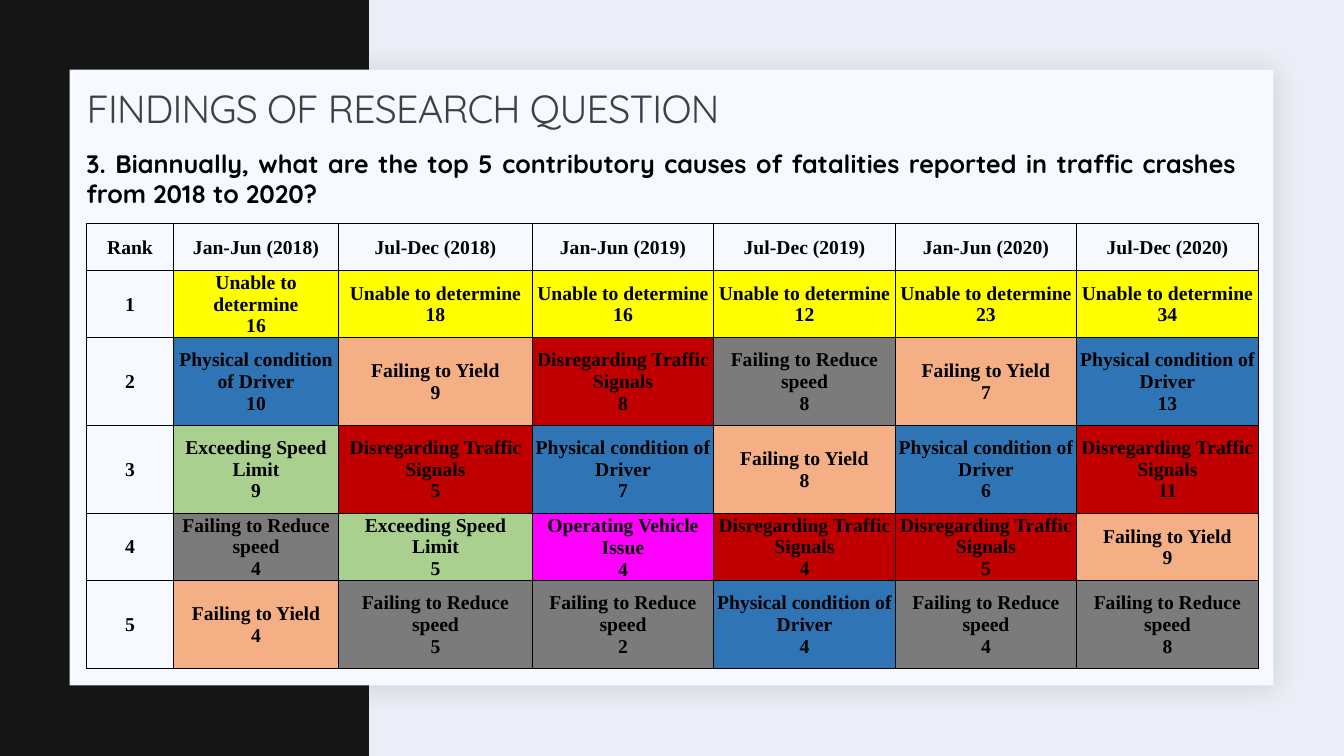
from lxml.etree import SubElement
from pptx import Presentation
from pptx.dml.color import RGBColor
from pptx.enum.shapes import MSO_SHAPE
from pptx.enum.text import MSO_ANCHOR, MSO_AUTO_SIZE, PP_ALIGN
from pptx.oxml import parse_xml
from pptx.oxml.ns import nsdecls, qn
from pptx.util import Inches, Pt

CAUSE_COLOURS = {
    "Unable to determine": "FFFF00",
    "Physical condition of Driver": "2F75B5",
    "Failing to Yield": "F4B084",
    "Disregarding Traffic Signals": "C00000",
    "Failing to Reduce speed": "7B7B7B",
    "Exceeding Speed Limit": "A9D08E",
    "Operating Vehicle Issue": "FF00FF",
}
UNKNOWN, CONDITION, YIELD, SIGNALS, SPEED, LIMIT, VEHICLE = CAUSE_COLOURS
PERIODS = {
    "Jan-Jun (2018)": [(UNKNOWN, 16), (CONDITION, 10), (LIMIT, 9), (SPEED, 4), (YIELD, 4)],
    "Jul-Dec (2018)": [(UNKNOWN, 18), (YIELD, 9), (SIGNALS, 5), (LIMIT, 5), (SPEED, 5)],
    "Jan-Jun (2019)": [(UNKNOWN, 16), (SIGNALS, 8), (CONDITION, 7), (VEHICLE, 4), (SPEED, 2)],
    "Jul-Dec (2019)": [(UNKNOWN, 12), (SPEED, 8), (YIELD, 8), (SIGNALS, 4), (CONDITION, 4)],
    "Jan-Jun (2020)": [(UNKNOWN, 23), (YIELD, 7), (CONDITION, 6), (SIGNALS, 5), (SPEED, 4)],
    "Jul-Dec (2020)": [(UNKNOWN, 34), (CONDITION, 13), (SIGNALS, 11), (YIELD, 9), (SPEED, 8)],
}
COLUMN_WIDTHS = [0.86, 1.64, 1.92, 1.8, 1.8, 1.8, 1.8]
ROW_HEIGHTS = [0.46, 0.67, 0.87, 0.87, 0.67, 0.87]


def colour(value):
    """Turn a hex string into a colour."""
    return RGBColor.from_string(value)


class SlideBuilder:
    """Hold the style and the current slide."""

    heading_font = "Quicksand"
    table_font = "Times New Roman"
    ink = "000000"

    def __init__(self, presentation, background):
        """Add a title-only slide with a plain background."""
        self.slide = presentation.slides.add_slide(presentation.slide_layouts[5])
        self.slide.background.fill.solid()
        self.slide.background.fill.fore_color.rgb = colour(background)

    def run(self, paragraph, text, font, size, ink, bold=False):
        """Add one formatted run."""
        run = paragraph.add_run()
        run.text = text
        run.font.name = font
        run.font.size = Pt(size)
        run.font.bold = bold
        run.font.color.rgb = colour(ink)
        return run

    def panel(self, left, top, width, height, fill):
        """Add a rectangle without outline or shadow."""
        shape = self.slide.shapes.add_shape(
            MSO_SHAPE.RECTANGLE, Inches(left), Inches(top), Inches(width), Inches(height))
        shape.fill.solid()
        shape.fill.fore_color.rgb = colour(fill)
        shape.line.fill.background()
        shape.shadow.inherit = False
        return shape

    def soft_shadow(self, shape, shade, opacity, blur, distance, angle):
        """Give a shape a blurred outer shadow."""
        effects = shape.element.spPr.find(qn("a:effectLst"))
        effects.append(parse_xml(
            f'<a:outerShdw {nsdecls("a")} blurRad="{Pt(blur)}" dist="{Pt(distance)}" '
            f'dir="{angle * 60000}" algn="tl" rotWithShape="0"><a:srgbClr val="{shade}">'
            f'<a:alpha val="{opacity * 1000}"/></a:srgbClr></a:outerShdw>'))

    def title(self, text, left, top, width, height):
        """Place the title in front of the panels and format it."""
        title = self.slide.shapes.title
        self.slide.shapes.element.append(title.element)
        title.left, title.top = Inches(left), Inches(top)
        title.width, title.height = Inches(width), Inches(height)
        frame = title.text_frame
        frame.auto_size = MSO_AUTO_SIZE.NONE
        frame.vertical_anchor = MSO_ANCHOR.MIDDLE
        paragraph = frame.paragraphs[0]
        paragraph.alignment = PP_ALIGN.LEFT
        paragraph.line_spacing = 0.9
        run = self.run(paragraph, text, self.heading_font, 28, "404040")
        run.font._element.set("spc", "-50")

    def question(self, text, left, top, width, height):
        """Add the justified research question."""
        box = self.slide.shapes.add_textbox(
            Inches(left), Inches(top), Inches(width), Inches(height))
        frame = box.text_frame
        frame.word_wrap = True
        paragraph = frame.paragraphs[0]
        paragraph.alignment = PP_ALIGN.JUSTIFY
        self.run(paragraph, text, self.heading_font, 18, self.ink, True)

    def borders(self, cell, widths):
        """Draw the left, right, top and bottom borders of a cell."""
        properties = cell._tc.get_or_add_tcPr()
        for index, (side, width) in enumerate(zip("LRTB", widths)):
            line = parse_xml(f'<a:ln{side} {nsdecls("a")} w="{Pt(width)}"/>')
            fill = SubElement(line, qn("a:solidFill"))
            SubElement(fill, qn("a:srgbClr"), val=self.ink)
            properties.insert(index, line)

    def cell(self, cell, lines, fill=None):
        """Fill and write one centred table cell."""
        cell.margin_left = cell.margin_top = cell.margin_right = Inches(0.01)
        cell.margin_bottom = 0
        cell.vertical_anchor = MSO_ANCHOR.BOTTOM if lines[0] == VEHICLE else MSO_ANCHOR.MIDDLE
        if fill:
            cell.fill.solid()
            cell.fill.fore_color.rgb = colour(fill)
        else:
            cell.fill.background()
        paragraph = cell.text_frame.paragraphs[0]
        paragraph.alignment = PP_ALIGN.CENTER
        for index, text in enumerate(lines):
            if index:
                paragraph.add_line_break()
            self.run(paragraph, text, self.table_font, 14, self.ink, True)

    def ranking(self, periods, left, top):
        """Add the table of ranked causes, one column per period."""
        rows, columns = len(ROW_HEIGHTS), len(COLUMN_WIDTHS)
        table = self.slide.shapes.add_table(
            rows, columns, Inches(left), Inches(top),
            Inches(sum(COLUMN_WIDTHS)), Inches(sum(ROW_HEIGHTS))).table
        table.first_row = table.horz_banding = False
        for column, width in zip(table.columns, COLUMN_WIDTHS):
            column.width = Inches(width)
        for row, height in zip(table.rows, ROW_HEIGHTS):
            row.height = Inches(height)
        for row in range(rows):
            self.cell(table.cell(row, 0), [str(row) if row else "Rank"])
        for column, (period, causes) in enumerate(periods.items(), 1):
            self.cell(table.cell(0, column), [period])
            for row, (cause, count) in enumerate(causes, 1):
                self.cell(table.cell(row, column), [cause, str(count)], CAUSE_COLOURS[cause])
        for row in range(rows):
            for column in range(columns):
                outer = (column == 0, column == columns - 1, row == 0, row == rows - 1)
                self.borders(table.cell(row, column), [1 if edge else 0.5 for edge in outer])


def main():
    """Build and save the slide."""
    presentation = Presentation()
    presentation.slide_width, presentation.slide_height = Inches(13.33), Inches(7.5)
    builder = SlideBuilder(presentation, "ECEEF7")
    builder.panel(0, 0, 3.66, 7.5, "141514")
    card = builder.panel(0.69, 0.69, 11.94, 6.11, "F6F9FF")
    builder.soft_shadow(card, "1F2125", 15, 20, 2, 45)
    builder.ranking(PERIODS, 0.86, 2.22)
    builder.title("FINDINGS OF RESEARCH QUESTION", 0.76, 0.78, 11, 0.64)
    builder.question(
        "3. Biannually, what are the top 5 contributory causes of fatalities "
        "reported in traffic crashes from 2018 to 2020?", 0.76, 1.42, 11.6, 1.01)
    presentation.save("out.pptx")


if __name__ == "__main__":
    main()
